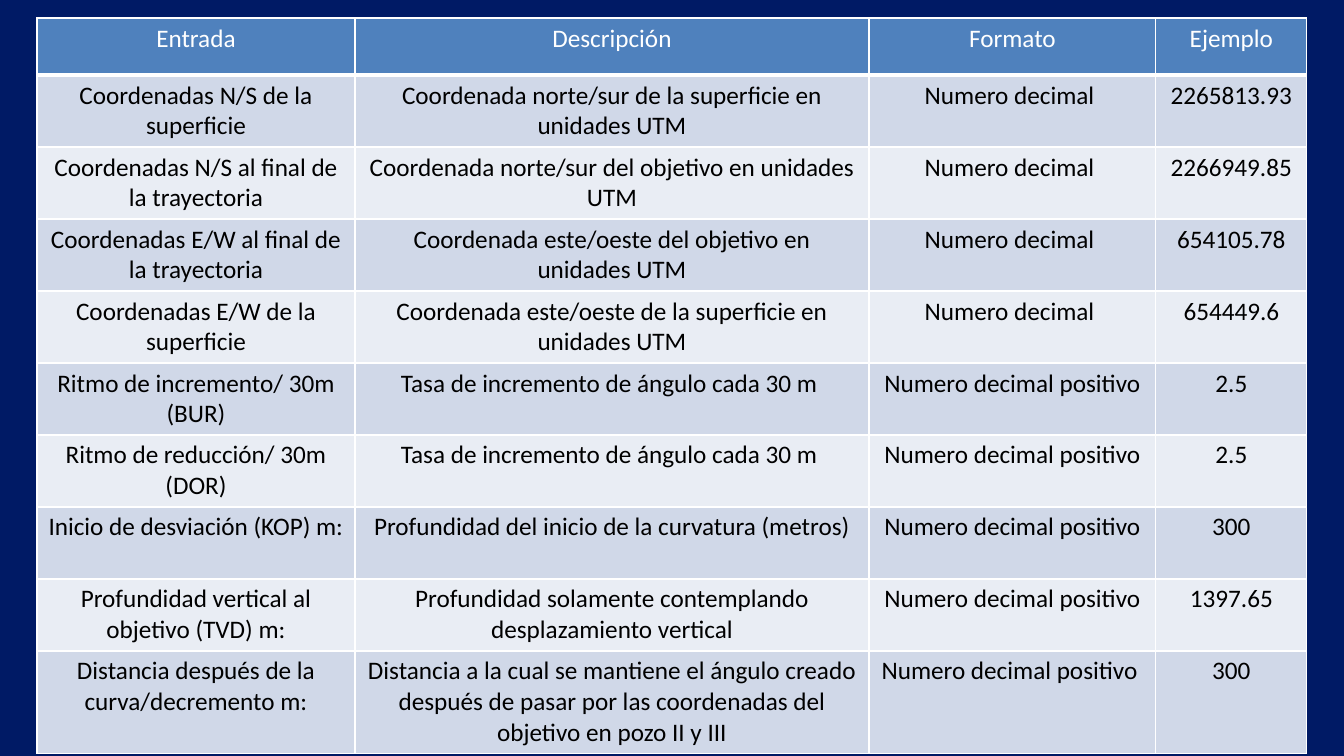
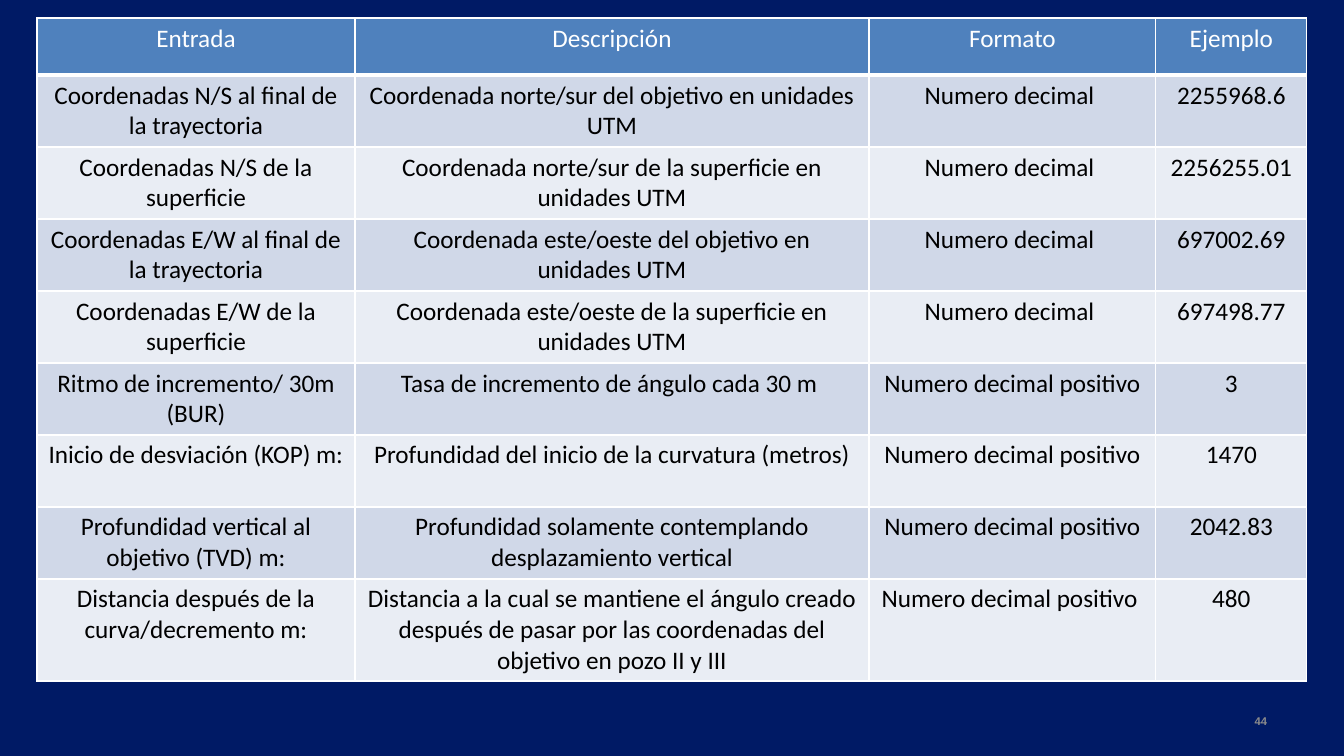
"""Builds two slides that list the input data of a well trajectory program."""
import pptx
import pptx.dml.color
import pptx.enum.text
import pptx.oxml
import pptx.oxml.ns
import pptx.util

RGBColor = pptx.dml.color.RGBColor
Align = pptx.enum.text.PP_ALIGN
Anchor = pptx.enum.text.MSO_ANCHOR

NAVY = RGBColor(0x00, 0x1A, 0x65)
HEADER_BLUE = RGBColor(0x4F, 0x81, 0xBD)
BAND_DARK = RGBColor(0xD0, 0xD8, 0xE8)
BAND_LIGHT = RGBColor(0xE9, 0xED, 0xF4)
WHITE = RGBColor(0xFF, 0xFF, 0xFF)
BLACK = RGBColor(0x00, 0x00, 0x00)
GREY = RGBColor(0x8C, 0x8C, 0x8C)

SLIDE_WIDTH, SLIDE_HEIGHT = 1344, 756
EMU_PER_PX = 12192000 / SLIDE_WIDTH

HEADINGS = ("Entrada", "Descripción", "Formato", "Ejemplo")
COLUMN_WIDTHS = (318, 514, 287, 151)
HEADER_HEIGHT, ROW_HEIGHT, LAST_ROW_HEIGHT = 57, 72, 102

DECIMAL = "Numero decimal "
POSITIVE = "Numero decimal positivo"
RATE = "Tasa de incremento de ángulo cada 30 m "

INPUTS = {
    "ns_surface": ("Coordenadas N/S de la superficie",
                   "Coordenada norte/sur de la superficie en unidades UTM", DECIMAL),
    "ns_target": ("Coordenadas N/S al final de la trayectoria",
                  "Coordenada norte/sur del objetivo en unidades UTM", DECIMAL),
    "ew_target": ("Coordenadas E/W al final de la trayectoria",
                  "Coordenada este/oeste del objetivo en unidades UTM", DECIMAL),
    "ew_surface": ("Coordenadas E/W de la superficie",
                   "Coordenada este/oeste de la superficie en unidades UTM", DECIMAL),
    "bur": ("Ritmo de incremento/ 30m (BUR)", RATE, POSITIVE),
    "dor": ("Ritmo de reducción/ 30m (DOR)", RATE, POSITIVE),
    "kop": ("Inicio de desviación (KOP) m:",
            "Profundidad del inicio de la curvatura (metros)", POSITIVE),
    "tvd": ("Profundidad vertical al objetivo (TVD) m:",
            "Profundidad solamente contemplando desplazamiento vertical", POSITIVE),
    "distance": ("Distancia después de la curva/decremento m:",
                 "Distancia a la cual se mantiene el ángulo creado después de pasar "
                 "por las coordenadas del objetivo en pozo II y III", POSITIVE + " "),
}

THREE_STAGE_WELL = {
    "ns_surface": "2265813.93", "ns_target": "2266949.85",
    "ew_target": "654105.78", "ew_surface": "654449.6",
    "bur": "2.5", "dor": "2.5", "kop": "300", "tvd": "1397.65", "distance": "300",
}
TWO_STAGE_WELL = {
    "ns_target": "2255968.6", "ns_surface": "2256255.01",
    "ew_target": "697002.69", "ew_surface": "697498.77",
    "bur": "3", "kop": "1470", "tvd": "2042.83", "distance": "480",
}


def px(length):
    return pptx.util.Emu(round(length * EMU_PER_PX))


def write(frame, text, size=18, font="Calibri", color=BLACK, bold=False, align=Align.CENTER):
    paragraph = frame.paragraphs[0]
    paragraph.alignment = align
    run = paragraph.add_run()
    run.text = text
    run.font.size = pptx.util.Pt(size)
    run.font.name = font
    run.font.bold = bold
    run.font.color.rgb = color


def add_borders(cell, bottom):
    properties = cell._tc.get_or_add_tcPr()
    for side, points in (("L", 1), ("R", 1), ("T", 1), ("B", bottom)):
        properties.append(pptx.oxml.parse_xml(
            f'<a:ln{side} {pptx.oxml.ns.nsdecls("a")} w="{pptx.util.Pt(points)}">'
            f'<a:solidFill><a:srgbClr val="{WHITE}"/></a:solidFill></a:ln{side}>'))


class Deck:
    def __init__(self):
        self.presentation = pptx.Presentation()
        self.presentation.slide_width = px(SLIDE_WIDTH)
        self.presentation.slide_height = px(SLIDE_HEIGHT)
        background = self.presentation.slide_master.background.fill
        background.solid()
        background.fore_color.rgb = NAVY
        self.slide = None

    def add_slide(self):
        blank = self.presentation.slide_layouts[6]
        self.slide = self.presentation.slides.add_slide(blank)

    def add_page_number(self, number):
        box = self.slide.shapes.add_textbox(px(964), px(701), px(313), px(40))
        box.text_frame.word_wrap = True
        box.text_frame.vertical_anchor = Anchor.MIDDLE
        write(box.text_frame, str(number), size=8, font="Arial", color=GREY,
              bold=True, align=Align.RIGHT)

    def add_inputs(self, examples):
        rows = [HEADINGS] + [(*INPUTS[key], value) for key, value in examples.items()]
        heights = [HEADER_HEIGHT] + [ROW_HEIGHT] * (len(examples) - 1) + [LAST_ROW_HEIGHT]
        table = self.slide.shapes.add_table(
            len(rows), len(HEADINGS), px(37), px(18),
            px(sum(COLUMN_WIDTHS)), px(sum(heights))).table
        for column, width in zip(table.columns, COLUMN_WIDTHS):
            column.width = px(width)
        for index, (row, height, texts) in enumerate(zip(table.rows, heights, rows)):
            row.height = px(height)
            heading = index == 0
            band = BAND_DARK if index % 2 else BAND_LIGHT
            for cell, text in zip(row.cells, texts):
                add_borders(cell, bottom=3 if heading else 1)
                cell.fill.solid()
                cell.fill.fore_color.rgb = HEADER_BLUE if heading else band
                write(cell.text_frame, text, color=WHITE if heading else BLACK)


def main():
    deck = Deck()
    deck.add_slide()
    deck.add_inputs(THREE_STAGE_WELL)
    deck.add_slide()
    deck.add_page_number(44)
    deck.add_inputs(TWO_STAGE_WELL)
    deck.presentation.save("out.pptx")


if __name__ == "__main__":
    main()
